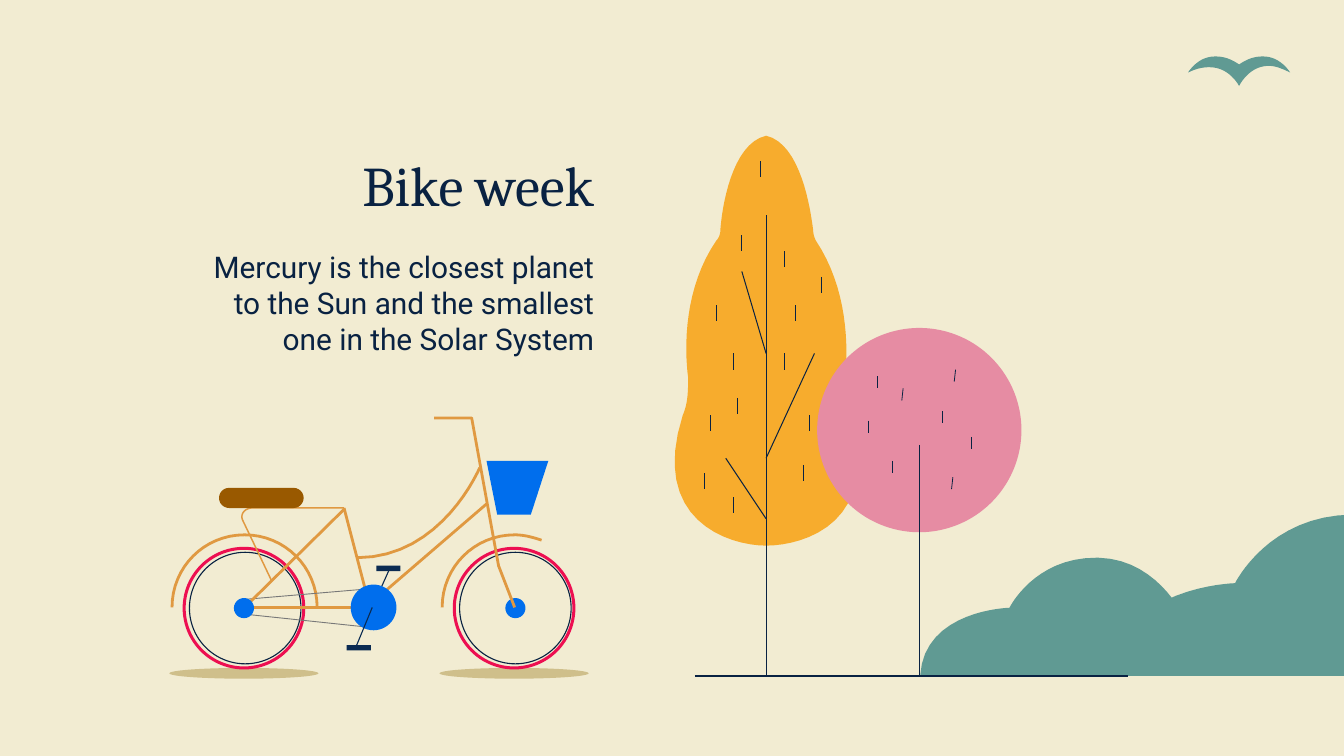
import dataclasses
import pptx
import pptx.dml.color
import pptx.enum.shapes
import pptx.enum.text
import pptx.oxml
import pptx.oxml.ns
import pptx.util

RGB = pptx.dml.color.RGBColor
CREAM = RGB(0xF2, 0xEC, 0xD2)
TEAL = RGB(0x60, 0x9A, 0x93)
AMBER = RGB(0xF7, 0xAC, 0x2D)
PINK = RGB(0xE6, 0x8C, 0xA3)
NAVY = RGB(0x09, 0x22, 0x42)
STEEL = RGB(0x0B, 0x2B, 0x52)
SAND = RGB(0xCF, 0xBF, 0x8B)
RED = RGB(0xED, 0x0F, 0x51)
GOLD = RGB(0xE0, 0x99, 0x41)
BLUE = RGB(0x00, 0x6E, 0xED)
GREY = RGB(0x78, 0x78, 0x78)
BROWN = RGB(0x99, 0x59, 0x00)
KIND = pptx.enum.shapes.MSO_SHAPE
ANCHOR = pptx.enum.text.MSO_ANCHOR
SCALE = 9144


def px(*nums):
    """Turn px into EMU."""
    return [round(num * SCALE) for num in nums]


def paint(shape, fill=None, line=None, width=1):
    """Set the fill and line of a shape, without a shadow."""
    shape.shadow.inherit = False
    if fill is None:
        shape.fill.background()
    else:
        shape.fill.solid()
        shape.fill.fore_color.rgb = fill
    if line is None:
        shape.line.fill.background()
    else:
        shape.line.color.rgb = line
        shape.line.width = pptx.util.Pt(width)


def bend(start, step, count=16):
    """List the points of a cubic curve."""
    ends = [start, step[:2], step[2:4], step[4:]]
    spots = []
    for i in range(1, count + 1):
        t = i / count
        mix = [(1 - t) ** 3, 3 * t * (1 - t) ** 2, 3 * t * t * (1 - t), t ** 3]
        spots.append(tuple(sum(m * e[k] for m, e in zip(mix, ends)) for k in (0, 1)))
    return spots


@dataclasses.dataclass
class Box:
    """A group of shapes drawn from a left top corner."""
    shapes: object
    left: int
    top: int
    zoom: float = 1

    def at(self, x, y):
        """Give the EMU place of a point in the box."""
        return px(self.left + x * self.zoom, self.top + y * self.zoom)

    def form(self, kind, x, y, wide, high, **style):
        """Add a preset shape."""
        shape = self.shapes.add_shape(kind, *self.at(x, y), *px(wide, high))
        paint(shape, **style)
        return shape

    def trace(self, start, *steps, shut=True, **style):
        """Add an outline of straight (2 numbers) and curved (6) steps."""
        spots = [start]
        for step in steps:
            spots += [step] if len(step) == 2 else bend(spots[-1], step)
        first, *rest = [self.at(*spot) for spot in spots]
        pen = self.shapes.build_freeform(*first, scale=1.0)
        pen.add_line_segments(rest, close=shut)
        paint(pen.convert_to_shape(), **style)

    def line(self, x1, y1, x2, y2, color=NAVY, width=0.54):
        """Add a straight line."""
        kind = pptx.enum.shapes.MSO_CONNECTOR.STRAIGHT
        line = self.shapes.add_connector(kind, *self.at(x1, y1), *self.at(x2, y2))
        line.line.color.rgb = color
        line.line.width = pptx.util.Pt(width)
        tag = pptx.oxml.ns.nsdecls("a")
        line._element.spPr.append(pptx.oxml.parse_xml(f"<a:effectLst {tag}/>"))


def draw_hill(box):
    """Draw a row of three hills."""
    box.trace((180, 0), (117, 0, 92, 51, 92, 51), (92, 51, 5, 53, 1, 120),
              (348, 120), (348, 120, 340, 67, 291, 67), (286, 67, 280, 68, 274, 69),
              (274, 69, 248, 2, 183, 0), (182, 0, 181, 0, 180, 0), fill=TEAL)


def draw_bird(box):
    """Draw a bird with open wings."""
    box.trace((56, 0), (69, 0, 76, 12, 76, 12), (70, 9, 65, 7, 60, 7),
              (45, 7, 38, 22, 38, 22), (38, 22, 31, 8, 16, 8), (11, 8, 6, 9, 0, 12),
              (0, 12, 7, 0, 20, 0), (25, 0, 31, 1, 38, 6), (45, 1, 51, 0, 56, 0),
              fill=TEAL)


def draw_tree(box):
    """Draw the tall tree with its branches."""
    box.trace((87, 0), (113, 6, 120, 55, 122, 70), (122, 73, 123, 76, 124, 78),
              (148, 114, 148, 157, 146, 180), (145, 189, 146, 199, 149, 208),
              (174, 287, 116, 305, 87, 305), (59, 305, 0, 286, 25, 208),
              (29, 199, 29, 189, 29, 180), (26, 157, 26, 113, 50, 78),
              (52, 76, 53, 73, 53, 70), (54, 55, 61, 6, 87, 0), fill=AMBER)
    for ends in [(87, 59, 87, 402), (34, 402, 138, 402), (69, 101, 87, 162),
                 (123, 162, 87, 240), (57, 240, 87, 285)]:
        box.line(*ends)
    for x, y in [(63, 162), (46, 208), (50, 126), (69, 74), (128, 105), (101, 86),
                 (101, 162), (119, 208), (109, 126), (83, 19), (41, 251), (63, 269),
                 (66, 195), (115, 245)]:
        box.line(x, y, x, y + 12)


def draw_bush(box):
    """Draw the round tree and its ground."""
    box.line(64, 259, 106, 259, width=0.42)
    box.line(15, 259, 239, 259)
    box.form(KIND.OVAL, 8, 0, 152, 152, fill=PINK)
    box.line(84, 87, 84, 259)
    for x, y, lean in [(111, 31, 1), (72, 45, 1), (53, 36, 0), (101, 62, 0),
                       (123, 81, 0), (64, 99, 0), (46, 69, 0), (109, 111, 1)]:
        box.line(x, y, x - lean, y + 9, width=0.42)


def draw_wheel(box, x, y, tail):
    """Draw a wheel round a centre, with shadow and guard."""
    box.form(KIND.OVAL, x - 56, y + 45, 111, 8, fill=SAND)
    box.form(KIND.OVAL, x - 45, y - 44, 89, 89, line=RED, width=1.62)
    box.form(KIND.OVAL, x - 41, y - 41, 83, 83, line=NAVY, width=0.6)
    arcs = [(-54, -30, -30, -54, 0, -54), tail]
    moved = [tuple(n + (x, y)[i % 2] for i, n in enumerate(arc)) for arc in arcs]
    box.trace((x - 54, y), *moved, shut=False, line=GOLD, width=1.5)


def draw_bike(box):
    """Draw the bike from wheels to saddle."""
    gold = dict(shut=False, line=GOLD, width=1.5)
    draw_wheel(box, 257, 141, (7, -54, 14, -52, 20, -50))
    draw_wheel(box, 56, 141, (30, -54, 54, -30, 54, 0))
    box.form(KIND.OVAL, 250, 134, 15, 15, fill=BLUE)
    box.trace((257, 141), (245, 110), (225, 0), (197, 0), **gold)
    box.line(130, 67, 148, 136, GOLD, 1.5)
    box.trace((150, 127), (56, 135), (56, 146), (151, 156),
              shut=False, line=GREY, width=0.48)
    box.line(164, 112, 151, 141, STEEL, 0.6)
    box.trace((231, 37), (231, 37, 203, 104, 140, 104), **gold)
    box.line(236, 64, 150, 138, GOLD, 1.5)
    box.trace((130, 68), (56, 141), (145, 141), **gold)
    box.form(KIND.OVAL, 48, 134, 15, 15, fill=BLUE)
    for x, y in [(154, 110), (132, 169)]:
        box.form(KIND.RECTANGLE, x, y, 18, 4, fill=STEEL)
    box.form(KIND.OVAL, 135, 124, 34, 34, fill=BLUE)
    box.line(151, 141, 139, 170, STEEL, 0.6)
    box.trace((130, 67), (62, 67), (56, 67, 52, 72, 55, 77), (76, 121),
              shut=False, line=GOLD, width=0.78)
    box.trace((282, 32), (269, 72), (244, 72), (236, 32), fill=BLUE)
    seat = box.form(KIND.ROUNDED_RECTANGLE, 37, 52, 63, 15, fill=BROWN)
    seat.adjustments[0] = 0.5


def write(shape, area, text, font, size, anchor):
    """Place a shape and fill it with right aligned text."""
    shape.left, shape.top, shape.width, shape.height = px(*area)
    frame = shape.text_frame
    frame.word_wrap = True
    frame.auto_size = pptx.enum.text.MSO_AUTO_SIZE.NONE
    frame.vertical_anchor = anchor
    frame.margin_left = frame.margin_right = px(10)[0]
    frame.margin_top = frame.margin_bottom = px(10)[0]
    frame.text = text
    line = frame.paragraphs[0]
    line.alignment = pptx.enum.text.PP_ALIGN.RIGHT
    line.font.name = font
    line.font.size = pptx.util.Pt(size)
    line.font.color.rgb = NAVY


def main():
    """Build the slide and save it."""
    deck = pptx.Presentation()
    deck.slide_width = px(1000)[0]
    deck.slide_height = deck.slide_width * 9 // 16
    slide = deck.slides.add_slide(deck.slide_layouts[5])
    slide.background.fill.solid()
    slide.background.fill.fore_color.rgb = CREAM
    for draw, *place in [(draw_hill, 827, 383), (draw_bird, 884, 42),
                         (draw_hill, 684, 415, 0.73), (draw_tree, 483, 101),
                         (draw_bush, 600, 244), (draw_bike, 126, 311)]:
        draw(Box(slide.shapes.add_group_shape().shapes, *place))
    write(slide.shapes.title, (135, 102, 317, 52), "Bike week", "Cambria", 30, ANCHOR.TOP)
    area = (135, 170, 317, 110)
    write(slide.shapes.add_textbox(*px(*area)), area,
          "Mercury is the closest planet to the Sun and the smallest one in the Solar System",
          "Roboto", 16, ANCHOR.MIDDLE)
    deck.save("out.pptx")


if __name__ == "__main__":
    main()
